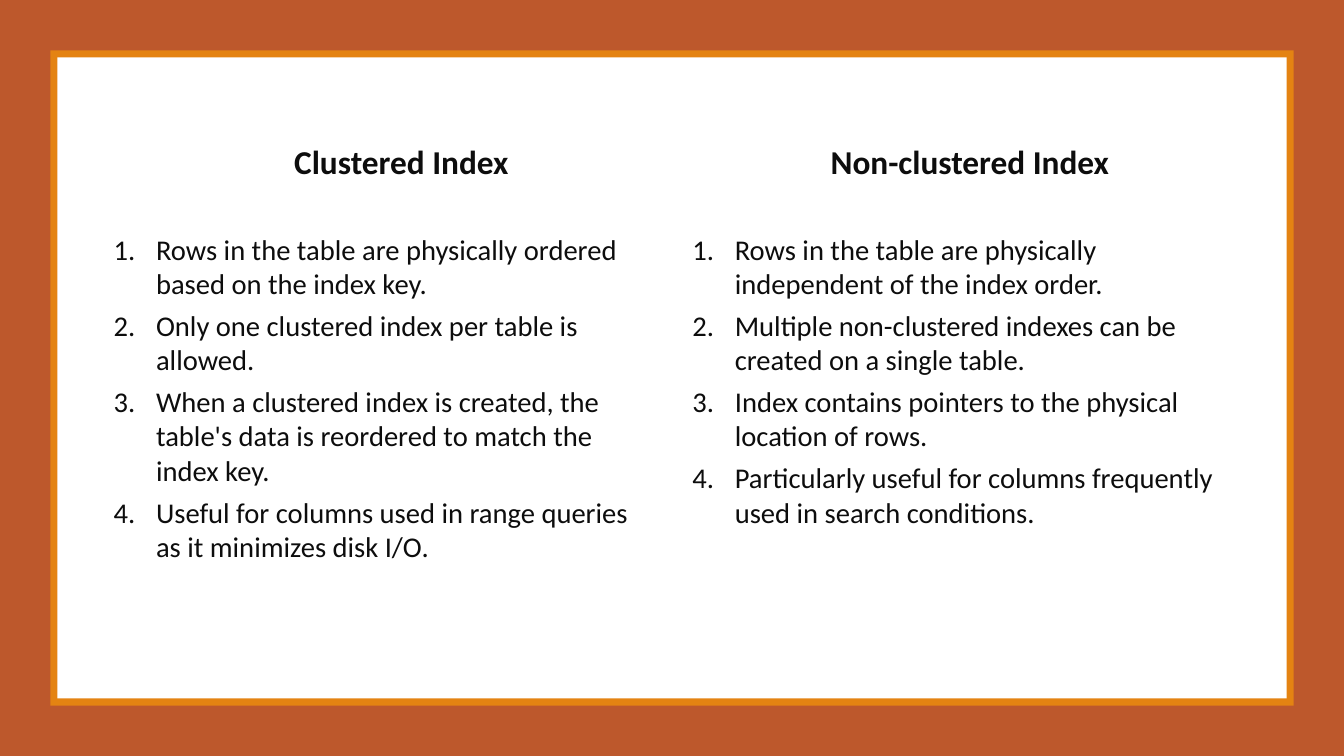
import dataclasses

import pptx
import pptx.dml.color
import pptx.enum.shapes
import pptx.oxml.ns
import pptx.slide
import pptx.text.text
import pptx.util
from lxml import etree

Inches = pptx.util.Inches
Pt = pptx.util.Pt
RGBColor = pptx.dml.color.RGBColor

RUST = RGBColor(0xBD, 0x58, 0x2C)
ORANGE = RGBColor(0xE4, 0x83, 0x12)
WHITE = RGBColor(0xFF, 0xFF, 0xFF)
INK = RGBColor(0x0D, 0x0D, 0x0D)
FONT = "Calibri"
WIDTH, HEIGHT = 13.33, 7.5


@dataclasses.dataclass
class Panel:
    inset: float
    color: RGBColor


@dataclasses.dataclass
class Column:
    left: float
    indent: float
    heading: str
    points: list[str]


PANELS = [Panel(0, RUST), Panel(0.5, ORANGE), Panel(0.57, WHITE)]

COLUMNS = [
    Column(1.03, 1.79, "Clustered Index", [
        "Rows in the table are physically ordered based on the index key.",
        "Only one clustered index per table is allowed.",
        "When a clustered index is created, the table's data is reordered to match the index key.",
        "Useful for columns used in range queries as it minimizes disk I/O.",
    ]),
    Column(6.77, 1.37, "Non-clustered Index", [
        "Rows in the table are physically independent of the index order.",
        "Multiple non-clustered indexes can be created on a single table.",
        "Index contains pointers to the physical location of rows.",
        "Particularly useful for columns frequently used in search conditions.",
    ]),
]


def draw_panel(slide: pptx.slide.Slide, panel: Panel) -> None:
    shape = slide.shapes.add_shape(
        pptx.enum.shapes.MSO_SHAPE.RECTANGLE,
        Inches(panel.inset), Inches(panel.inset),
        Inches(WIDTH - 2 * panel.inset), Inches(HEIGHT - 2 * panel.inset))
    shape.shadow.inherit = False
    shape.fill.solid()
    shape.fill.fore_color.rgb = panel.color
    shape.line.fill.background()


def style(line: pptx.text.text._Paragraph, size: float, bold: bool, after: float) -> None:
    line.space_after = Pt(after)
    for run in line.runs:
        run.font.name = FONT
        run.font.size = Pt(size)
        run.font.bold = bold
        run.font.color.rgb = INK


def indent(line: pptx.text.text._Paragraph, left: float, first: float = 0) -> None:
    props = line._p.get_or_add_pPr()
    props.set("marL", str(Inches(left)))
    props.set("indent", str(Inches(first)))


def number(line: pptx.text.text._Paragraph) -> None:
    indent(line, 0.42, -0.42)
    mark = etree.SubElement(line._p.get_or_add_pPr(), pptx.oxml.ns.qn("a:buAutoNum"))
    mark.set("type", "arabicPeriod")


def draw_column(slide: pptx.slide.Slide, column: Column) -> None:
    box = slide.shapes.add_textbox(
        Inches(column.left), Inches(1.35), Inches(5.57), Inches(4.79))
    frame = box.text_frame
    frame.word_wrap = True
    frame.text = "\n".join([column.heading, *column.points])
    heading, *points = frame.paragraphs
    style(heading, 23.8, True, 36)
    indent(heading, column.indent)
    for point in points:
        style(point, 20.4, False, 5.5)
        number(point)


def main() -> None:
    deck = pptx.Presentation()
    deck.slide_width = Inches(WIDTH)
    deck.slide_height = Inches(HEIGHT)
    slide = deck.slides.add_slide(deck.slide_layouts.get_by_name("Blank"))
    for panel in PANELS:
        draw_panel(slide, panel)
    for column in COLUMNS:
        draw_column(slide, column)
    deck.save("out.pptx")


if __name__ == "__main__":
    main()
